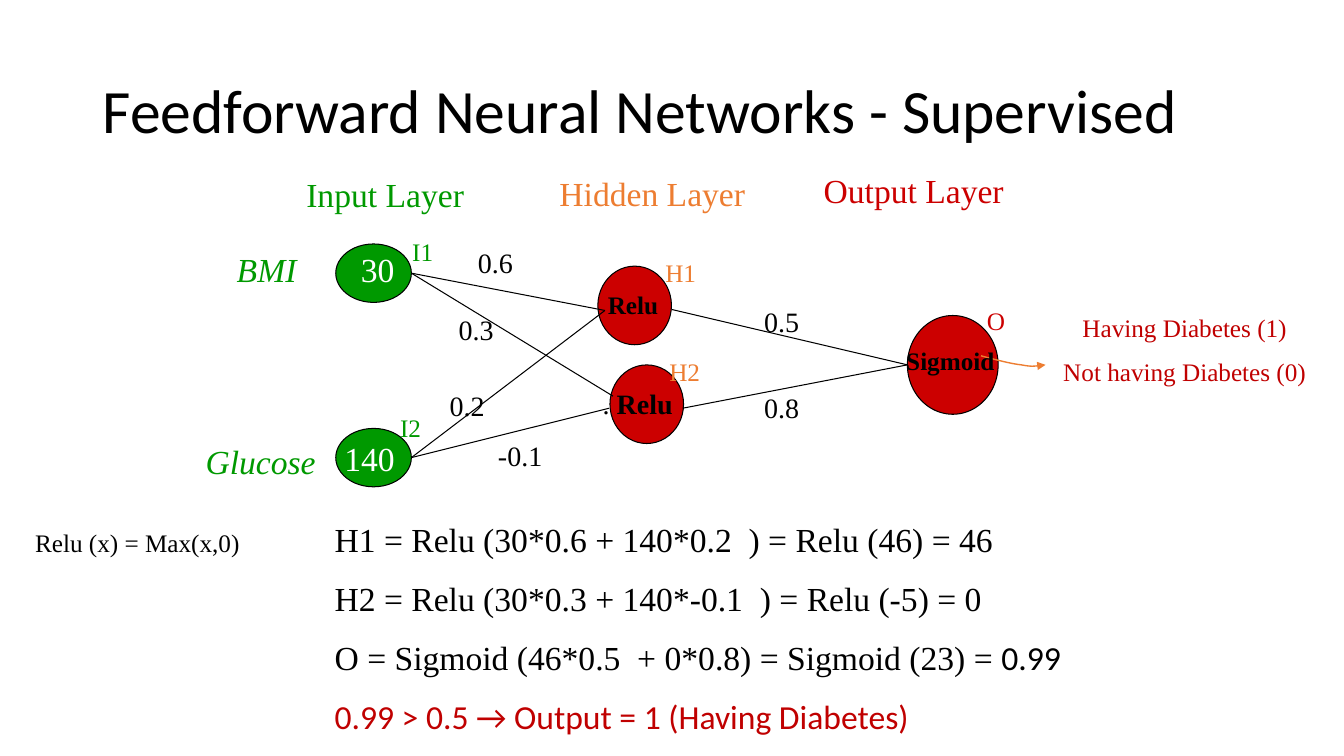
from lxml.etree import SubElement
from pptx import Presentation
from pptx.dml.color import RGBColor
from pptx.enum.shapes import MSO_CONNECTOR, MSO_SHAPE
from pptx.enum.text import MSO_ANCHOR, PP_ALIGN
from pptx.oxml.ns import qn
from pptx.util import Inches, Pt

BLACK = RGBColor(0x00, 0x00, 0x00)
WHITE = RGBColor(0xFF, 0xFF, 0xFF)
GREEN = RGBColor(0x00, 0x99, 0x00)
RED = RGBColor(0xCC, 0x00, 0x00)
DARK = RGBColor(0xC0, 0x00, 0x00)
ORANGE = RGBColor(0xED, 0x7D, 0x31)
SERIF, SANS = "Times New Roman", "Calibri"

TITLE = "Feedforward Neural Networks - Supervised"

# left, top, width, height, fill
NODES = [
    (9, 3.13, 0.9, 0.98, RED),
    (5.93, 2.64, 0.73, 0.78, RED),
    (6.05, 3.62, 0.73, 0.78, RED),
    (3.33, 2.42, 0.75, 0.58, GREEN),
    (3.33, 4.25, 0.75, 0.58, GREEN),
]
BMI, GLUCOSE, OUT = (4.08, 2.71), (4.08, 4.54), (9, 3.62)
EDGES = [
    (BMI, (6, 3.08)),
    (BMI, (6.08, 3.93)),
    (GLUCOSE, (6.04, 4.05)),
    (GLUCOSE, (6, 3.08)),
    ((6.66, 3.07), OUT),
    ((6.77, 4.05), OUT),
]
# start point, then three points for each Bezier curve
ARROW = [(9.73, 3.53), (9.88, 3.57), (10.03, 3.61), (10.13, 3.62),
         (10.24, 3.64), (10.31, 3.63), (10.37, 3.62)]

# text, left, top, width, colour
LAYERS = [
    ("Input Layer", 2.94, 1.68, 2.34, GREEN),
    ("Hidden Layer", 5.45, 1.67, 2.42, ORANGE),
    ("Output Layer", 8.07, 1.64, 2.42, RED),
]
FEATURES = [("BMI", 2.25, 2.42, 0.83), ("Glucose", 1.94, 4.33, 1.39)]
VALUES = [("30", 3.33, 2.42), ("140", 3.25, 4.3)]
WEIGHTS = [
    ("0.6", 4.64, 2.39), ("0.3", 4.45, 3.05), ("0.2", 4.36, 3.81),
    ("-0.1", 4.84, 4.3), ("0.5", 7.48, 2.97), ("0.8", 7.48, 3.82),
]
UNITS = [("Relu", 5.93, 2.82, 0.77), ("Sigmoid", 8.89, 3.38, 1.14)]
NAMES = [
    ("I1", 3.99, 2.3, GREEN), ("I2", 3.87, 4.04, GREEN),
    ("H1", 6.5, 2.5, ORANGE), ("H2", 6.54, 3.49, ORANGE),
    ("O", 9.69, 2.98, RED),
]
# each line is a list of runs: text, changed format
MATH = [
    [("H1 = Relu (30*0.6 + 140*0.2  ) = Relu (46) = 46", {})],
    [("H2 = Relu (30*0.3 + 140*-0.1  ) = Relu (-5) = 0", {})],
    [("O = Sigmoid (46*0.5  + 0*0.8) = Sigmoid (23) = ", {}),
     ("0.99", {"font": SANS})],
    [("0.99 > 0.5 → Output = 1 (Having Diabetes)",
      {"font": SANS, "color": DARK})],
]
CLASSES = [[("Having Diabetes (1)", {})], [("Not having Diabetes (0)", {})]]
HIDDEN = [[(". ", {}), ("Relu", {"bold": True})]]

deck = Presentation()
deck.slide_width, deck.slide_height = Inches(13.33), Inches(7.5)
slide = deck.slides.add_slide(deck.slide_layouts[6])
shapes = slide.shapes


def style(run, size, color=BLACK, font=SERIF, bold=False, italic=False):
    run.font.size, run.font.name = Pt(size), font
    run.font.bold, run.font.italic = bold, italic
    run.font.color.rgb = color


def write(text, left, top, width, height=0.4, size=18, align=PP_ALIGN.LEFT,
          anchor=MSO_ANCHOR.TOP, wrap=True, spacing=None, **look):
    """Add a text box; text is a string or a list of lines made of runs."""
    box = shapes.add_textbox(*map(Inches, (left, top, width, height)))
    frame = box.text_frame
    frame.word_wrap, frame.vertical_anchor = wrap, anchor
    lines = [[(text, {})]] if isinstance(text, str) else text
    for i, line in enumerate(lines):
        para = frame.add_paragraph() if i else frame.paragraphs[0]
        para.alignment = align
        if spacing:
            para.line_spacing = spacing
        if i:
            para.space_before = Pt(round(size * 0.56, 1))
        for words, change in line:
            run = para.add_run()
            run.text = words
            style(run, size, **{**look, **change})


def curve(points):
    """Draw an arrow along joined Bezier curves."""
    emu = [(Inches(x), Inches(y)) for x, y in points]
    form = shapes.build_freeform(*emu[0])
    form.add_line_segments(emu[1:], close=False)
    shape = form.convert_to_shape()
    shape.shadow.inherit = False
    shape.fill.background()
    shape.line.color.rgb, shape.line.width = ORANGE, Pt(1)
    track = next(shape.element.iter(qn("a:path")))
    steps = track.findall(qn("a:lnTo"))
    for i in range(0, len(steps), 3):
        bend = SubElement(track, qn("a:cubicBezTo"))
        for step in steps[i:i + 3]:
            bend.append(step[0])
            track.remove(step)
    SubElement(shape.line._get_or_add_ln(), qn("a:tailEnd"), type="triangle")


for *place, fill in NODES:
    node = shapes.add_shape(MSO_SHAPE.FLOWCHART_CONNECTOR,
                            *map(Inches, place))
    node.shadow.inherit = False
    node.fill.solid()
    node.fill.fore_color.rgb = fill
    node.line.color.rgb, node.line.width = BLACK, Pt(0.75)

for start, end in EDGES:
    edge = shapes.add_connector(MSO_CONNECTOR.STRAIGHT,
                                *map(Inches, start + end))
    edge.line.color.rgb, edge.line.width = BLACK, Pt(0.75)
    SubElement(edge.element.spPr, qn("a:effectLst"))

curve(ARROW)

write(TITLE, 0.92, 0.4, 11.5, 1.45, size=44, font=SANS, spacing=0.9,
      anchor=MSO_ANCHOR.MIDDLE)
for text, left, top, width, color in LAYERS:
    write(text, left, top, width, 0.5, size=24, color=color)
for text, left, top, width in FEATURES:
    write(text, left, top, width, 0.5, size=24, color=GREEN, italic=True)
for text, left, top in VALUES:
    write(text, left, top, 0.83, 0.5, size=24, color=WHITE,
          align=PP_ALIGN.CENTER)
for text, left, top in WEIGHTS:
    width = 0.65 if text.startswith("-") else 0.55
    write(text, left, top, width, 0.44, size=20, wrap=False)
write(HIDDEN, 5.88, 3.79, 0.9, 0.44, size=20, wrap=False)
for text, left, top, width in UNITS:
    write(text, left, top, width, bold=True)
for text, left, top, color in NAMES:
    write(text, left, top, 0.83, color=color)
write("Relu (x) = Max(x,0)", 0.25, 5.18, 6.67)
write(MATH, 3.22, 5.1, 9.62, 2.35, size=24)
write(CLASSES, 10.42, 3.05, 2.66, 1.01, color=DARK, align=PP_ALIGN.CENTER)

deck.save("out.pptx")
